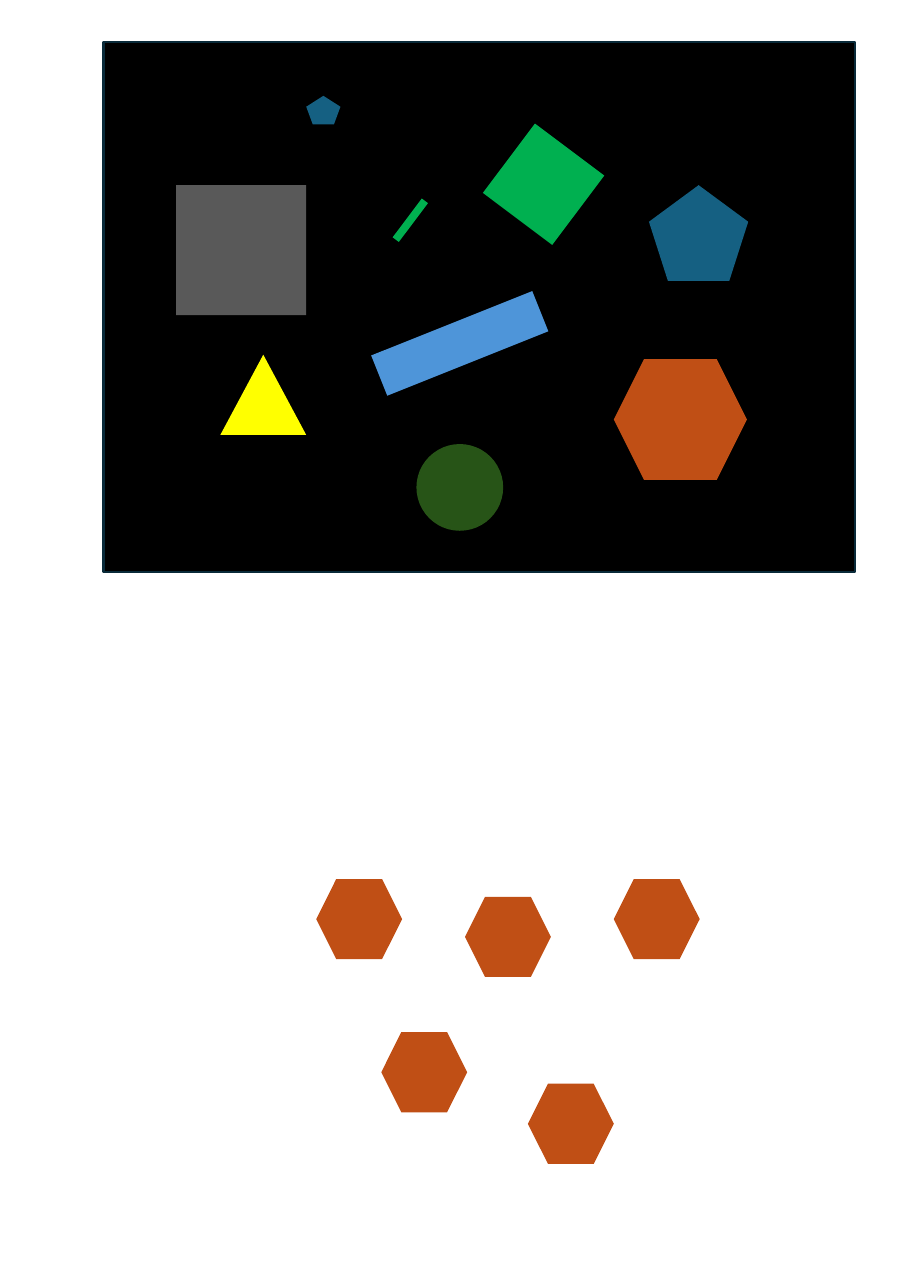
from dataclasses import dataclass

from pptx import Presentation
from pptx import util as u
from pptx.dml.color import RGBColor
from pptx.enum import shapes

KIND = shapes.MSO_SHAPE
TEAL, GREEN, RUST = "156082", "00B050", "C04F15"


@dataclass
class Figure:
    kind: KIND
    left: float
    top: float
    width: float
    height: float
    color: str
    turn: float = 0
    edge: str = ""


def paint(color: str) -> RGBColor:
    return RGBColor.from_string(color)


def draw(slide, fig: Figure) -> None:
    box = [u.Cm(n) for n in (fig.left, fig.top, fig.width, fig.height)]
    shape = slide.shapes.add_shape(fig.kind, *box)
    shape.shadow.inherit = False
    shape.rotation = fig.turn
    shape.fill.solid()
    shape.fill.fore_color.rgb = paint(fig.color)
    if fig.edge:
        shape.line.color.rgb = paint(fig.edge)
        shape.line.width = u.Pt(1.5)
    else:
        shape.line.fill.background()


# Black panel and the large figures on it
PANEL = [
    Figure(KIND.RECTANGLE, 2.39, 0.97, 17.32, 12.22, "000000", edge="092A39"),
    Figure(KIND.RECTANGLE, 4.06, 4.27, 3, 3, "595959"),
    Figure(KIND.RECTANGLE, 11.53, 3.25, 2, 2, GREEN, 36.9),
    Figure(KIND.RECTANGLE, 8.6, 7.42, 4, 1, "4E95D9", 338.2),
    Figure(KIND.ISOSCELES_TRIANGLE, 5.08, 8.18, 1.98, 1.85, "FFFF00"),
    Figure(KIND.REGULAR_PENTAGON, 14.96, 4.27, 2.29, 2.21, TEAL),
    Figure(KIND.HEXAGON, 14.15, 8.28, 3.07, 2.79, RUST),
    Figure(KIND.OVAL, 9.6, 10.24, 2, 2, "275417"),
]

# Equal hexagons below the panel
SPOTS = [(7.29, 20.27), (10.72, 20.68), (14.15, 20.27), (8.79, 23.8), (12.17, 24.99)]
HEXES = [Figure(KIND.HEXAGON, x, y, 1.98, 1.85, RUST) for x, y in SPOTS]

# Small figures on the panel
SMALL = [
    Figure(KIND.REGULAR_PENTAGON, 7.06, 2.21, 0.79, 0.66, TEAL),
    Figure(KIND.RECTANGLE, 9.37, 4.52, 0.18, 1.12, GREEN, 36.9),
]


def main() -> None:
    deck = Presentation()
    deck.slide_width, deck.slide_height = u.Cm(21), u.Cm(29.7)
    slide = deck.slides.add_slide(deck.slide_layouts[6])
    for fig in PANEL + HEXES + SMALL:
        draw(slide, fig)
    deck.save("out.pptx")


if __name__ == "__main__":
    main()
